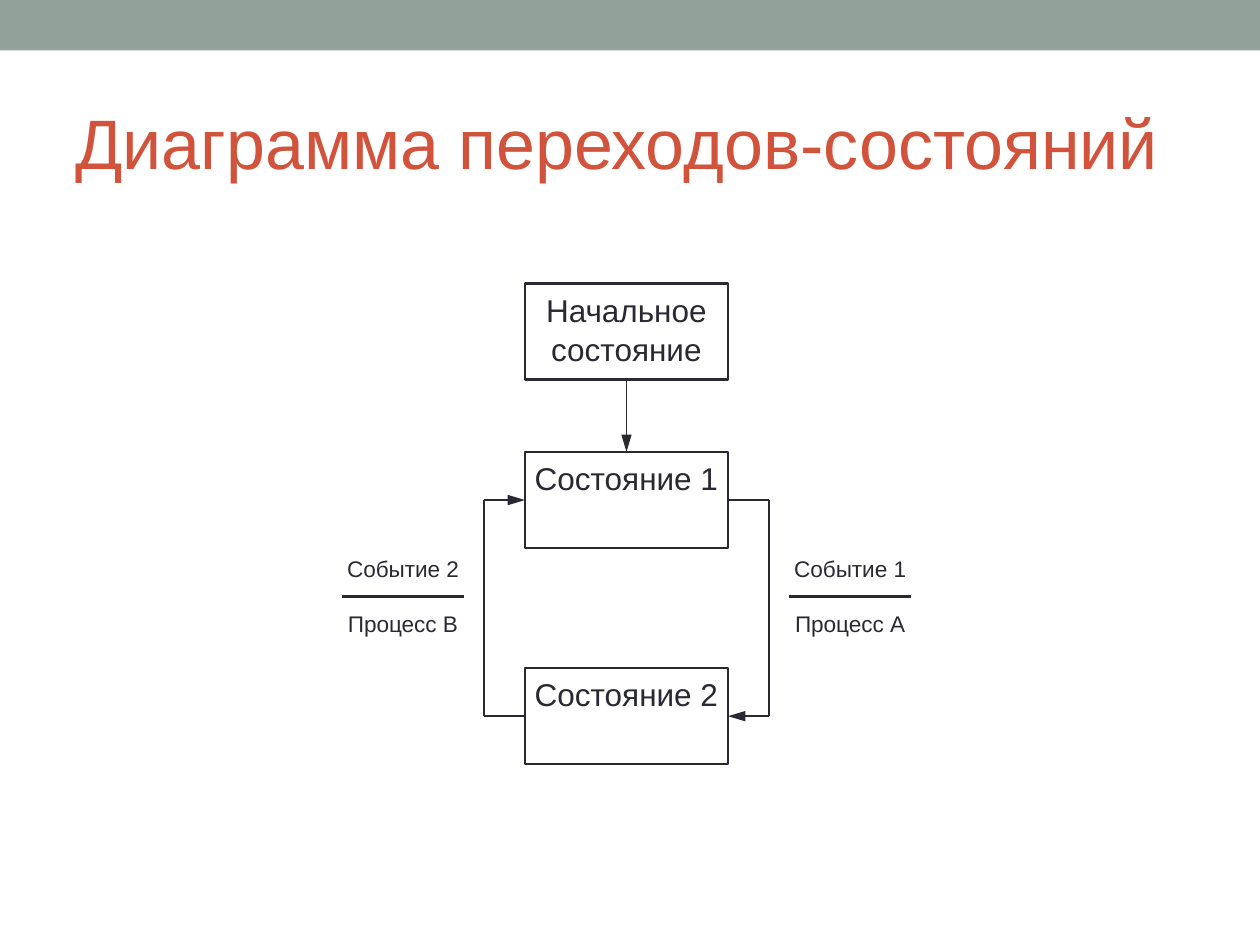
from dataclasses import dataclass

from lxml import etree
from pptx import Presentation
from pptx import util as u
from pptx.dml.color import RGBColor
from pptx.enum import shapes, text
from pptx.oxml import ns

Pt = u.Pt


@dataclass(frozen=True)
class Theme:
    font: str = "Arial"
    band: str = "93A299"
    title: str = "D2533C"
    ink: str = "292934"
    title_size: float = 40
    state_size: float = 18
    event_size: float = 12.9
    thick: float = 1.5
    thin: float = 1


@dataclass(frozen=True)
class State:
    label: str
    top: float


@dataclass(frozen=True)
class Transition:
    event: str
    process: str
    source: int
    target: int
    direction: int


THEME = Theme()
WIDTH, HEIGHT = 720, 540
CENTER = 358
STATE_WIDTH, STATE_HEIGHT = 116, 55
LOOP_REACH = 23.25
LABEL_WIDTH, LABEL_HEIGHT = 93, 55
RULE_WIDTH = 69.5
LINE_SPACING = 1.05

STATES = [
    State("Начальное состояние", 162),
    State("Состояние 1", 258.25),
    State("Состояние 2", 381.75),
]
TRANSITIONS = [
    Transition("Событие 1", "Процесс А", 1, 2, 1),
    Transition("Событие 2", "Процесс B", 2, 1, -1),
]


def write_text(frame, content, *, size, color, align, anchor=text.MSO_ANCHOR.TOP,
               inset=(5, 3), line_spacing=1.0, gap=0):
    frame.word_wrap = True
    frame.auto_size = text.MSO_AUTO_SIZE.NONE
    frame.vertical_anchor = anchor
    frame.margin_left = frame.margin_right = Pt(inset[0])
    frame.margin_top = frame.margin_bottom = Pt(inset[1])
    frame.text = content
    for index, paragraph in enumerate(frame.paragraphs):
        paragraph.alignment = align
        paragraph.line_spacing = line_spacing
        paragraph.space_before = Pt(gap if index else 0)
        font = paragraph.runs[0].font
        font.name = THEME.font
        font.size = Pt(size)
        font.color.rgb = RGBColor.from_string(color)


def add_rectangle(slide, left: float, top: float, width: float, height: float):
    shape = slide.shapes.add_shape(
        shapes.MSO_SHAPE.RECTANGLE, Pt(left), Pt(top), Pt(width), Pt(height))
    shape.shadow.inherit = False
    return shape


def add_band(slide) -> None:
    band = add_rectangle(slide, 0, 0, WIDTH, 28.8)
    band.fill.solid()
    band.fill.fore_color.rgb = RGBColor.from_string(THEME.band)
    band.line.fill.background()


def add_title(slide, content: str) -> None:
    title = slide.shapes.title
    title.left, title.top, title.width, title.height = Pt(36), Pt(42), Pt(648), Pt(78)
    write_text(title.text_frame, content, size=THEME.title_size, color=THEME.title,
               align=text.PP_ALIGN.LEFT, anchor=text.MSO_ANCHOR.MIDDLE, inset=(7.2, 3.6))


def add_state(slide, state: State):
    shape = add_rectangle(slide, CENTER - STATE_WIDTH / 2, state.top,
                          STATE_WIDTH, STATE_HEIGHT)
    shape.fill.background()
    shape.line.color.rgb = RGBColor.from_string(THEME.ink)
    shape.line.width = Pt(THEME.thick)
    write_text(shape.text_frame, state.label, size=THEME.state_size, color=THEME.ink,
               align=text.PP_ALIGN.CENTER, line_spacing=LINE_SPACING)
    return shape


def add_line(slide, start: tuple[float, float], end: tuple[float, float], *,
             width: float = THEME.thin, arrow: bool = False):
    connector = slide.shapes.add_connector(
        shapes.MSO_CONNECTOR.STRAIGHT, *(Pt(value) for value in (*start, *end)))
    connector.line.color.rgb = RGBColor.from_string(THEME.ink)
    connector.line.width = Pt(width)
    if arrow:
        etree.SubElement(connector.line._get_or_add_ln(), ns.qn("a:tailEnd"),
                         type="triangle", w="med", len="lg")
    etree.SubElement(connector._element.spPr, ns.qn("a:effectLst"))
    return connector


def add_loop(slide, transition: Transition, boxes: list) -> None:
    direction = transition.direction
    side = 3 if direction > 0 else 1
    edge = CENTER + direction * STATE_WIDTH / 2
    outer = edge + direction * LOOP_REACH
    start, end = (STATES[index].top + STATE_HEIGHT / 2
                  for index in (transition.source, transition.target))
    leaving = add_line(slide, (edge, start), (outer, start))
    leaving.begin_connect(boxes[transition.source], side)
    add_line(slide, (outer, start), (outer, end))
    entering = add_line(slide, (outer, end), (edge, end), arrow=True)
    entering.end_connect(boxes[transition.target], side)
    add_transition_label(slide, transition, outer + direction * LABEL_WIDTH / 2,
                         (start + end) / 2 - 6.75)


def add_transition_label(slide, transition: Transition, center: float, middle: float) -> None:
    label = slide.shapes.add_textbox(
        Pt(center - LABEL_WIDTH / 2), Pt(middle - LABEL_HEIGHT / 2),
        Pt(LABEL_WIDTH), Pt(LABEL_HEIGHT))
    write_text(label.text_frame, f"{transition.event}\n{transition.process}",
               size=THEME.event_size, color=THEME.ink, align=text.PP_ALIGN.CENTER,
               line_spacing=LINE_SPACING, gap=15.4)
    add_line(slide, (center - RULE_WIDTH / 2, middle), (center + RULE_WIDTH / 2, middle),
             width=THEME.thick)


def main() -> None:
    presentation = Presentation()
    presentation.slide_width, presentation.slide_height = Pt(WIDTH), Pt(HEIGHT)
    slide = presentation.slides.add_slide(presentation.slide_layouts[5])
    add_band(slide)
    add_title(slide, "Диаграмма переходов-состояний")
    boxes = [add_state(slide, state) for state in STATES]
    entry = add_line(slide, (CENTER, STATES[0].top + STATE_HEIGHT),
                     (CENTER, STATES[1].top), arrow=True)
    entry.begin_connect(boxes[0], 2)
    entry.end_connect(boxes[1], 0)
    for transition in TRANSITIONS:
        add_loop(slide, transition, boxes)
    presentation.save("out.pptx")


if __name__ == "__main__":
    main()
